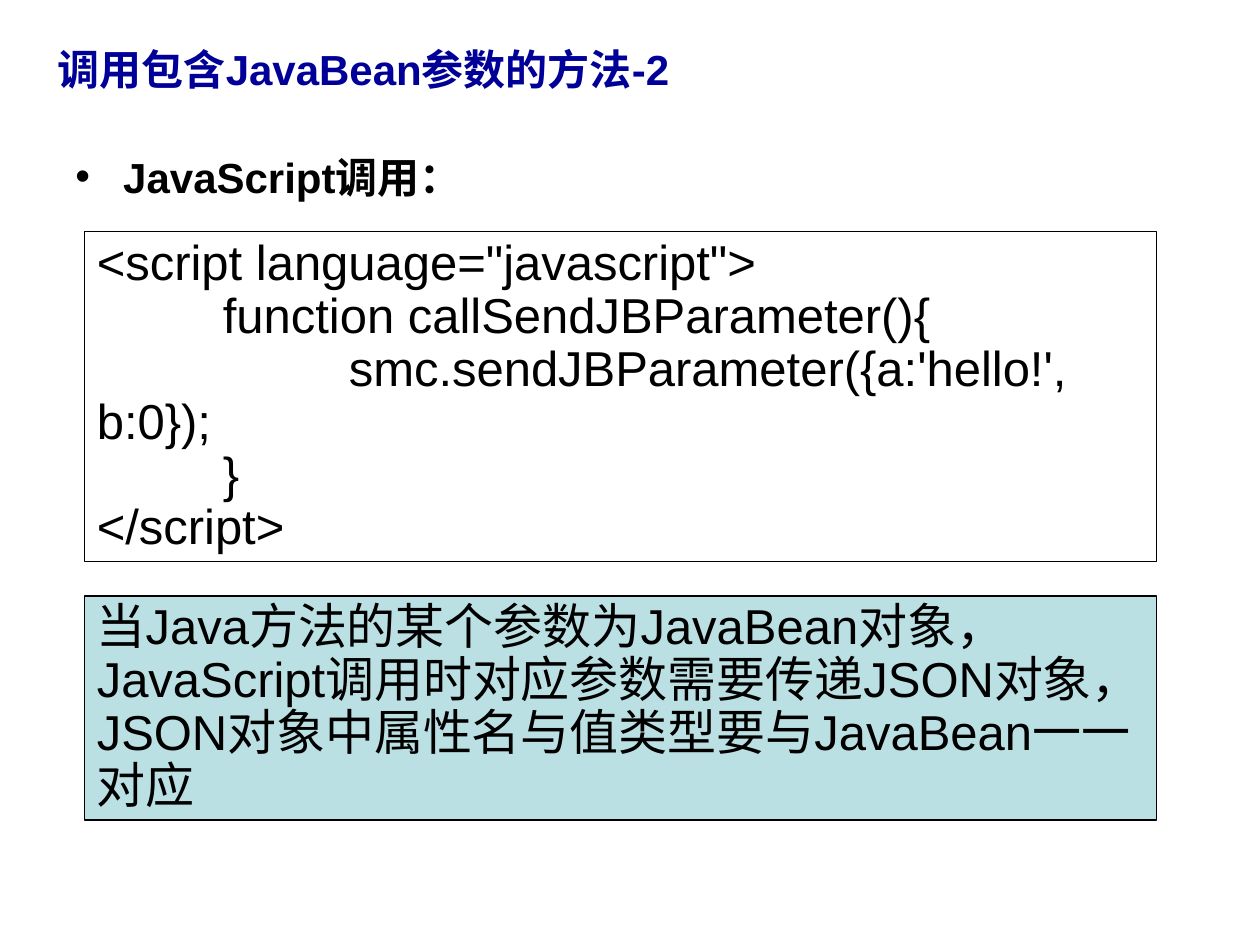
from dataclasses import dataclass
from typing import Optional

from lxml.etree import SubElement
from pptx import Presentation
from pptx.dml.color import RGBColor
from pptx.enum.shapes import MSO_SHAPE
from pptx.enum.text import MSO_ANCHOR, PP_ALIGN
from pptx.oxml.ns import qn
from pptx.util import Inches, Pt

WIDTH, HEIGHT = Inches(10), Inches(7.5)
FONT = "Arial"
BLACK = "000000"
TAB_STOPS = 8
BULLET_INDENT = Inches(0.38)


@dataclass(frozen=True)
class Area:
    left: float
    top: float
    width: float
    height: float

    def lengths(self) -> tuple[int, int, int, int]:
        return (
            int(self.left * WIDTH / 100),
            int(self.top * HEIGHT / 100),
            int(self.width * WIDTH / 100),
            int(self.height * HEIGHT / 100),
        )


@dataclass(frozen=True)
class TextBlock:
    area: Area
    lines: tuple[str, ...]
    size: int = 24
    colour: str = BLACK
    bold: bool = True
    spacing: float = 1.0
    anchor: MSO_ANCHOR = MSO_ANCHOR.TOP
    bullet: Optional[str] = None


@dataclass(frozen=True)
class Panel:
    text: TextBlock
    line_width: float
    fill: Optional[str] = None


def colour_of(value: str) -> RGBColor:
    return RGBColor.from_string(value)


def add_bullet(paragraph, mark: str) -> None:
    properties = paragraph._p.get_or_add_pPr()
    properties.set("marL", str(BULLET_INDENT))
    properties.set("indent", str(-BULLET_INDENT))
    SubElement(properties, qn("a:buFont"), typeface=FONT)
    SubElement(properties, qn("a:buChar"), char=mark)


def add_tabs(paragraph) -> None:
    tabs = SubElement(paragraph._p.get_or_add_pPr(), qn("a:tabLst"))
    for stop in range(1, TAB_STOPS + 1):
        SubElement(tabs, qn("a:tab"), pos=str(Inches(stop)), algn="l")


def write_text(box, block: TextBlock) -> None:
    frame = box.text_frame
    frame.word_wrap = True
    frame.vertical_anchor = block.anchor
    for index, line in enumerate(block.lines):
        paragraph = frame.paragraphs[0] if index == 0 else frame.add_paragraph()
        paragraph.text = line
        paragraph.alignment = PP_ALIGN.LEFT
        paragraph.line_spacing = block.spacing
        if block.bullet:
            add_bullet(paragraph, block.bullet)
        add_tabs(paragraph)
        paragraph.font.name = FONT
        paragraph.font.size = Pt(block.size)
        paragraph.font.bold = block.bold
        paragraph.font.color.rgb = colour_of(block.colour)


def draw_text(page, block: TextBlock) -> None:
    write_text(page.shapes.add_textbox(*block.area.lengths()), block)


def draw_panel(page, panel: Panel) -> None:
    box = page.shapes.add_shape(MSO_SHAPE.RECTANGLE, *panel.text.area.lengths())
    box.shadow.inherit = False
    if panel.fill:
        box.fill.solid()
        box.fill.fore_color.rgb = colour_of(panel.fill)
    else:
        box.fill.background()
    box.line.color.rgb = colour_of(BLACK)
    box.line.width = Pt(panel.line_width)
    write_text(box, panel.text)


def panel_text(top: float, height: float, *lines: str) -> TextBlock:
    return TextBlock(Area(6.7, top, 85.1, height), lines, size=28, bold=False, spacing=0.9)


TITLE = TextBlock(
    Area(3.6, 4.27, 83.1, 6),
    ("调用包含JavaBean参数的方法-2",),
    colour="000099",
    anchor=MSO_ANCHOR.MIDDLE,
)
HEADING = TextBlock(Area(5, 15.33, 90, 66), ("JavaScript调用：",), bullet="•")
CODE = Panel(
    panel_text(
        24.53,
        34.93,
        '<script language="javascript">',
        "\tfunction callSendJBParameter(){",
        "\t\tsmc.sendJBParameter({a:'hello!', b:0});",
        "\t}",
        "</script>",
    ),
    line_width=0.75,
)
EXPLANATION = Panel(
    panel_text(
        63.07,
        23.73,
        "当Java方法的某个参数为JavaBean对象，JavaScript调用时对应参数需要传递JSON对象，"
        "JSON对象中属性名与值类型要与JavaBean一一对应",
    ),
    line_width=1,
    fill="BBE0E3",
)


def main() -> None:
    deck = Presentation()
    deck.slide_width, deck.slide_height = WIDTH, HEIGHT
    page = deck.slides.add_slide(deck.slide_layouts[6])
    for block in (TITLE, HEADING):
        draw_text(page, block)
    for panel in (CODE, EXPLANATION):
        draw_panel(page, panel)
    deck.save("out.pptx")


if __name__ == "__main__":
    main()
